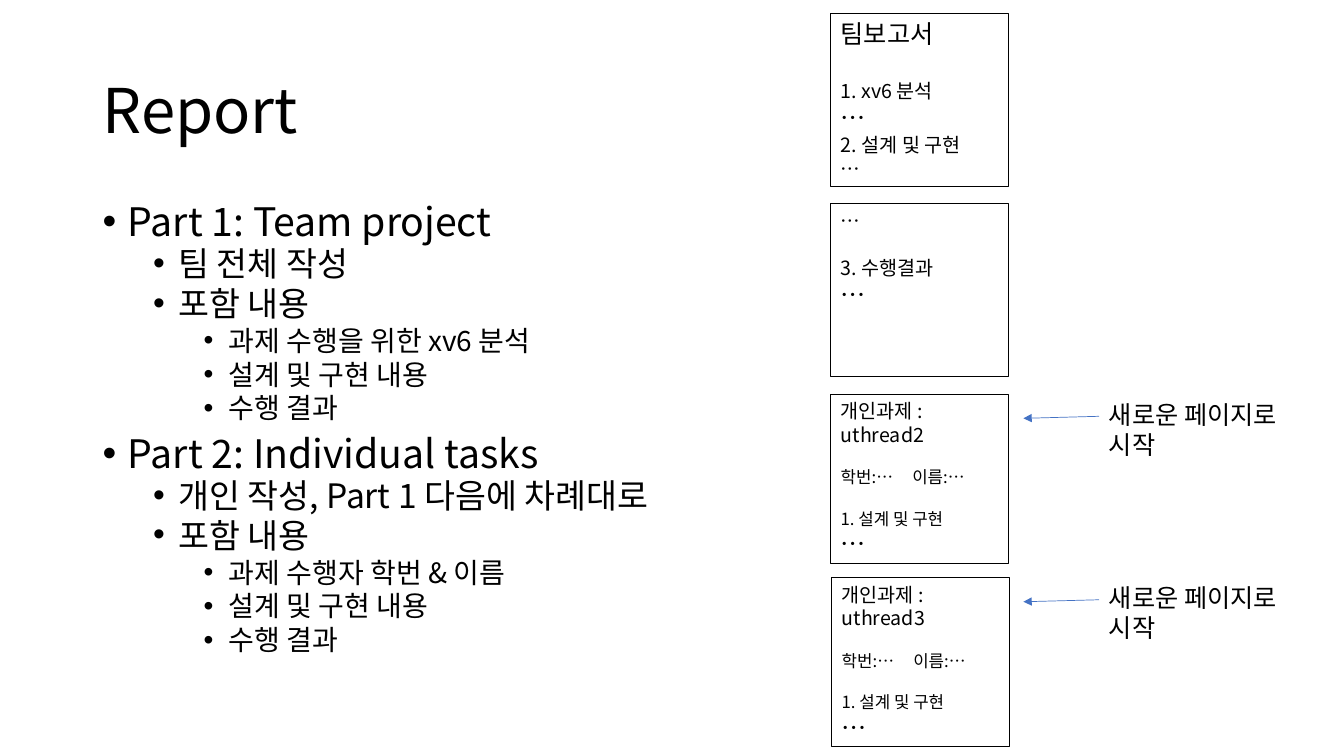
from lxml import etree
from pptx import Presentation
from pptx import util as u
from pptx.dml.color import RGBColor
from pptx.enum import shapes, text
from pptx.oxml.ns import qn

PX = 9144  # 100 px to the inch
FONT = "Noto Sans CJK KR"
BLACK = RGBColor(0x00, 0x00, 0x00)
BLUE = RGBColor(0x44, 0x72, 0xC4)

# Outline: level, text
OUTLINE = [
    (0, "Part 1: Team project"),
    (1, "팀 전체 작성"),
    (1, "포함 내용"),
    (2, "과제 수행을 위한 xv6 분석"),
    (2, "설계 및 구현 내용"),
    (2, "수행 결과"),
    (0, "Part 2: Individual tasks"),
    (1, "개인 작성, Part 1 다음에 차례대로"),
    (1, "포함 내용"),
    (2, "과제 수행자 학번 & 이름"),
    (2, "설계 및 구현 내용"),
    (2, "수행 결과"),
]
LEVEL_SIZES = [28, 24, 20]
LEVEL_GAPS = [10, 5, 5]

# Report pages: text, size, space before
TEAM_COVER = [
    ("팀보고서", 18, 0),
    ("1. xv6 분석", 14, 22),
    ("…", 18, 0),
    ("2. 설계 및 구현", 14, 0),
    ("…", 14, 0),
]
TEAM_RESULTS = [("…", 14, 0), ("3. 수행결과", 14, 17), ("…", 18, 0)]
NEW_PAGE = [("새로운 페이지로", 18, 0), ("시작", 18, 0)]


def individual_page(task):
    return [
        (f"개인과제 : {task}", 14, 0),
        ("학번:…\t이름:…", 12, 15),
        ("1. 설계 및 구현", 12, 15),
        ("…", 18, 0),
    ]


def px(*lengths):
    return [u.Emu(length * PX) for length in lengths]


def add_span(para, words, size):
    span = para.add_run()
    span.text = words
    span.font.name = FONT
    span.font.size = u.Pt(size)
    span.font.color.rgb = BLACK
    etree.SubElement(span.font._element, qn("a:ea"), typeface=FONT)


def next_para(frame, index):
    return frame.add_paragraph() if index else frame.paragraphs[0]


def add_text_box(page, box):
    frame = page.shapes.add_textbox(*px(*box)).text_frame
    frame.word_wrap = True
    return frame


def fill_lines(frame, lines):
    for index, (words, size, gap) in enumerate(lines):
        para = next_para(frame, index)
        para.alignment = text.PP_ALIGN.LEFT
        if gap:
            para.space_before = u.Pt(gap)
        if "\t" in words:
            tabs = etree.SubElement(para._p.get_or_add_pPr(), qn("a:tabLst"))
            etree.SubElement(tabs, qn("a:tab"), pos=str(71 * PX), algn="l")
        add_span(para, words, size)


def draw_title(page, box):
    frame = add_text_box(page, box)
    frame.vertical_anchor = text.MSO_ANCHOR.MIDDLE
    para = frame.paragraphs[0]
    para.line_spacing = 0.9
    add_span(para, "Report", 44)


def draw_outline(page, box):
    frame = add_text_box(page, box)
    for index, (level, words) in enumerate(OUTLINE):
        para = next_para(frame, index)
        para.level = level
        para.line_spacing = 0.8
        if index:
            para.space_before = u.Pt(LEVEL_GAPS[level])
        props = para._p.get_or_add_pPr()
        props.set("marL", str((25 + 50 * level) * PX))
        props.set("indent", str(-25 * PX))
        etree.SubElement(props, qn("a:buFont"), typeface="Arial")
        etree.SubElement(props, qn("a:buChar"), char="•")
        add_span(para, words, LEVEL_SIZES[level])


def draw_report_page(page, box, lines):
    sheet = page.shapes.add_shape(shapes.MSO_SHAPE.RECTANGLE, *px(*box))
    sheet.shadow.inherit = False
    sheet.fill.background()
    sheet.line.color.rgb = BLACK
    sheet.line.width = u.Pt(0.75)
    frame = sheet.text_frame
    frame.word_wrap = True
    frame.vertical_anchor = text.MSO_ANCHOR.TOP
    fill_lines(frame, lines)


def draw_new_page_note(page, box):
    left, top, _, _ = box
    fill_lines(add_text_box(page, box), NEW_PAGE)
    # Arrow towards the report page
    arrow = page.shapes.add_connector(
        shapes.MSO_CONNECTOR.STRAIGHT, *px(left, top + 22, left - 75, top + 24))
    arrow.line.color.rgb = BLUE
    arrow.line.width = u.Pt(0.5)
    etree.SubElement(arrow.line._get_or_add_ln(), qn("a:tailEnd"), type="triangle")
    etree.SubElement(arrow._element.spPr, qn("a:effectLst"))


def main():
    deck = Presentation()
    deck.slide_width, deck.slide_height = px(1333, 750)
    page = deck.slides.add_slide(deck.slide_layouts[6])

    draw_title(page, (92, 40, 1150, 145))
    draw_outline(page, (92, 200, 661, 476))

    # Team report pages
    draw_report_page(page, (824, 13, 176, 172), TEAM_COVER)
    draw_report_page(page, (824, 202, 176, 172), TEAM_RESULTS)

    # Individual report pages, each with its note
    for left, top, task in [(824, 391, "uthread2"), (825, 573, "uthread3")]:
        draw_report_page(page, (left, top, 176, 168), individual_page(task))
        draw_new_page_note(page, (1090, top, 206, 71))

    deck.save("out.pptx")


if __name__ == "__main__":
    main()
